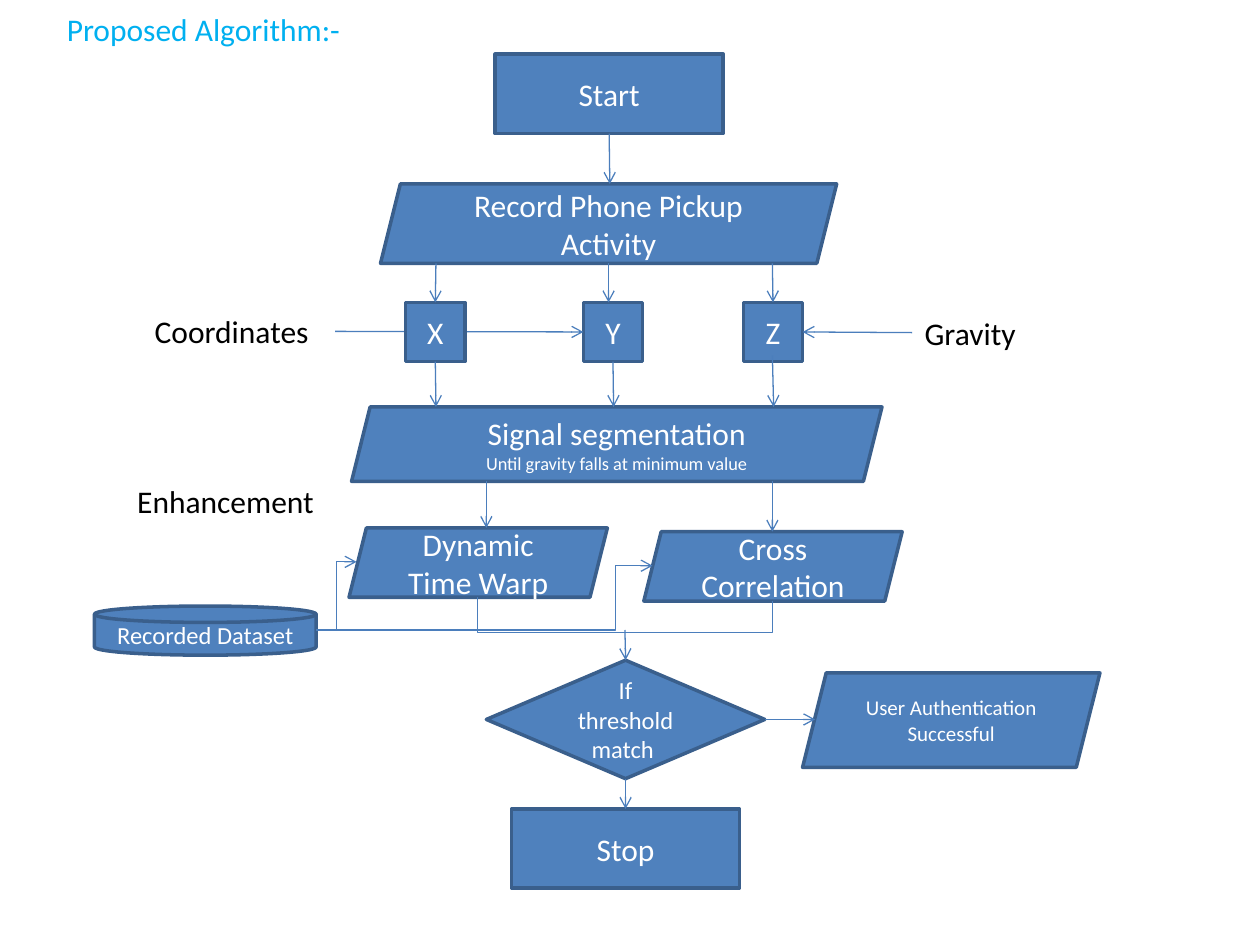
from dataclasses import dataclass
from typing import Optional

from lxml import etree
from pptx import Presentation
from pptx.dml.color import RGBColor
from pptx.enum.shapes import MSO_CONNECTOR as Link, MSO_SHAPE as Shape
from pptx.enum.text import MSO_ANCHOR as Anchor, MSO_AUTO_SIZE as AutoSize, PP_ALIGN as Align
from pptx.oxml.ns import qn
from pptx.util import Inches, Pt

BLUE = RGBColor(0x4F, 0x81, 0xBD)
OUTLINE = RGBColor(0x3A, 0x5F, 0x8C)
ARROW_BLUE = RGBColor(0x4B, 0x7E, 0xBC)
TITLE_BLUE = RGBColor(0x00, 0xB0, 0xF0)
WHITE = RGBColor(0xFF, 0xFF, 0xFF)
BLACK = RGBColor(0, 0, 0)
FONT = "Calibri"

COLUMNS, ROWS = 100, 75
SLIDE_WIDTH, SLIDE_HEIGHT = Inches(10), Inches(7.5)
TOP, LEFT, BOTTOM, RIGHT = range(4)

TERMINAL = (18.1, 6.3)
AXIS = (4.7, 4.7)
METHOD = (20.5, 5.5)
AXIS_ROW = 24


@dataclass(frozen=True)
class Block:
    key: str
    kind: Shape
    col: float
    row: float
    size: tuple[float, float]
    lines: tuple[tuple[str, float], ...]


@dataclass(frozen=True)
class Label:
    text: str
    col: float
    row: float
    width: float


@dataclass(frozen=True)
class Arrow:
    """Ends in columns and rows; source and target name a block and its side."""
    start: tuple[float, float]
    end: tuple[float, float]
    source: Optional[tuple[str, int]] = None
    target: Optional[tuple[str, int]] = None
    bend: Optional[float] = None
    head: bool = True


def axis_block(name: str, col: float) -> Block:
    return Block(name, Shape.RECTANGLE, col, AXIS_ROW, AXIS, ((name, 18),))


BLOCKS = (
    Block("start", Shape.RECTANGLE, 39.3, 4.3, TERMINAL, (("Start", 18),)),
    Block("record", Shape.PARALLELOGRAM, 30.2, 14.6, (36.2, 6.3),
          (("Record Phone Pickup Activity", 18),)),
    axis_block("Y", 46.3),
    axis_block("Z", 59),
    Block("segment", Shape.PARALLELOGRAM, 27.9, 32.3, (42.1, 5.9),
          (("Signal segmentation", 18), ("Until gravity falls at minimum value", 10.5))),
    Block("warp", Shape.PARALLELOGRAM, 27.7, 41.9, METHOD, (("Dynamic Time Warp", 18),)),
    Block("correlation", Shape.PARALLELOGRAM, 51.1, 42.2, METHOD, (("Cross Correlation", 18),)),
    Block("decision", Shape.FLOWCHART_DECISION, 38.6, 52.4, (22.1, 9.4),
          (("If threshold match ", 14),)),
    Block("stop", Shape.RECTANGLE, 40.6, 64.2, TERMINAL, (("Stop", 18),)),
    Block("success", Shape.PARALLELOGRAM, 63.7, 53.4, (23.6, 7.5),
          (("User Authentication Successful", 12),)),
    Block("dataset", Shape.FLOWCHART_MAGNETIC_DISK, 7.5, 48.1, (17.6, 3.9),
          (("Recorded Dataset", 14),)),
)
X_BLOCK = axis_block("X", 32.2)
COORDINATES_ARROW = Arrow((26.6, 26.3), (46.3, 26.4), target=("Y", LEFT))

LABELS = (
    Label("Gravity", 72.4, 24.4, 15),
    Label("Coordinates", 11.3, 24.3, 15.4),
    Label("Enhancement", 9.9, 37.8, 18.1),
)

ARROWS = (
    Arrow((48.4, 10.6), (48.4, 14.6), source=("start", BOTTOM)),
    Arrow((34.6, 20.9), (34.6, 24), target=("X", TOP)),
    Arrow((48.3, 20.9), (48.3, 24)),
    Arrow((61.3, 20.9), (61.3, 24), target=("Z", TOP)),
    Arrow((72.4, 26.4), (63.7, 26.4), target=("Z", RIGHT)),
    Arrow((34.6, 28.7), (34.6, 32.3), source=("X", BOTTOM)),
    Arrow((48.7, 28.7), (48.7, 32.3), source=("Y", BOTTOM)),
    Arrow((61.3, 28.2), (61.4, 32.3)),
    Arrow((38.6, 38.2), (38.6, 41.9)),
    Arrow((61.3, 38.2), (61.3, 42.2)),
    Arrow((49.6, 50), (49.6, 52.4), target=("decision", TOP)),
    Arrow((60.6, 57.1), (64.7, 57.1), source=("decision", RIGHT)),
    Arrow((49.6, 61.8), (49.6, 64.2), source=("decision", BOTTOM), target=("stop", TOP)),
    Arrow((25.1, 50), (28.3, 44.6), bend=0.5),
    Arrow((25.1, 50), (51.8, 44.9), bend=0.89),
)
# Unturned box of the link that joins both methods; a quarter turn lays it flat.
METHODS_LINK = Arrow((49.75, 35.85), (49.45, 59.25), bend=9.4, head=False)
QUARTER_TURN_BACK = 270 * 60000


def x(col: float) -> int:
    return round(SLIDE_WIDTH * col / COLUMNS)


def y(row: float) -> int:
    return round(SLIDE_HEIGHT * row / ROWS)


def add_run(paragraph, text: str, size: float, color: RGBColor) -> None:
    run = paragraph.add_run()
    run.text = text
    run.font.name = FONT
    run.font.size = Pt(size)
    run.font.color.rgb = color


def draw_title(slide, text: str) -> None:
    title = slide.shapes.title
    title.left, title.top, title.width, title.height = x(4.3), y(0.3), x(51.2), y(4)
    frame = title.text_frame
    frame.auto_size = AutoSize.NONE
    frame.vertical_anchor = Anchor.TOP
    frame.paragraphs[0].alignment = Align.LEFT
    add_run(frame.paragraphs[0], text, 18, TITLE_BLUE)


def draw_block(slide, block: Block):
    width, height = block.size
    shape = slide.shapes.add_shape(block.kind, x(block.col), y(block.row), x(width), y(height))
    shape.shadow.inherit = False
    shape.fill.solid()
    shape.fill.fore_color.rgb = BLUE
    shape.line.color.rgb = OUTLINE
    shape.line.width = Pt(2)
    frame = shape.text_frame
    frame.word_wrap = True
    frame.vertical_anchor = Anchor.MIDDLE
    for index, (text, size) in enumerate(block.lines):
        paragraph = frame.add_paragraph() if index else frame.paragraphs[0]
        paragraph.alignment = Align.CENTER
        add_run(paragraph, text, size, WHITE)
    return shape


def draw_label(slide, label: Label) -> None:
    box = slide.shapes.add_textbox(x(label.col), y(label.row), x(label.width), y(4))
    box.text_frame.word_wrap = True
    add_run(box.text_frame.paragraphs[0], label.text, 18, BLACK)


def draw_arrow(slide, arrow: Arrow, drawn: dict):
    kind = Link.STRAIGHT if arrow.bend is None else Link.ELBOW
    (col, row), (end_col, end_row) = arrow.start, arrow.end
    link = slide.shapes.add_connector(kind, x(col), y(row), x(end_col), y(end_row))
    if arrow.source:
        key, side = arrow.source
        link.begin_connect(drawn[key], side)
    if arrow.target:
        key, side = arrow.target
        link.end_connect(drawn[key], side)
    link.line.color.rgb = ARROW_BLUE
    link.line.width = Pt(0.75)
    properties = link._element.spPr
    if arrow.head:
        etree.SubElement(properties.find(qn("a:ln")), qn("a:tailEnd"), type="arrow")
    etree.SubElement(properties, qn("a:effectLst"))
    if arrow.bend is not None:
        guides = properties.find(qn("a:prstGeom")).find(qn("a:avLst"))
        etree.SubElement(guides, qn("a:gd"), name="adj1", fmla=f"val {round(arrow.bend * 100000)}")
    return link


def main() -> None:
    deck = Presentation()
    deck.slide_width, deck.slide_height = SLIDE_WIDTH, SLIDE_HEIGHT
    slide = deck.slides.add_slide(deck.slide_layouts.get_by_name("Title Only"))
    draw_title(slide, "Proposed Algorithm:-")
    drawn = {block.key: draw_block(slide, block) for block in BLOCKS}
    draw_arrow(slide, COORDINATES_ARROW, drawn)
    drawn[X_BLOCK.key] = draw_block(slide, X_BLOCK)
    for label in LABELS:
        draw_label(slide, label)
    for arrow in ARROWS:
        draw_arrow(slide, arrow, drawn)
    methods_link = draw_arrow(slide, METHODS_LINK, drawn)
    methods_link._element.spPr.find(qn("a:xfrm")).set("rot", str(QUARTER_TURN_BACK))
    deck.save("out.pptx")


if __name__ == "__main__":
    main()
